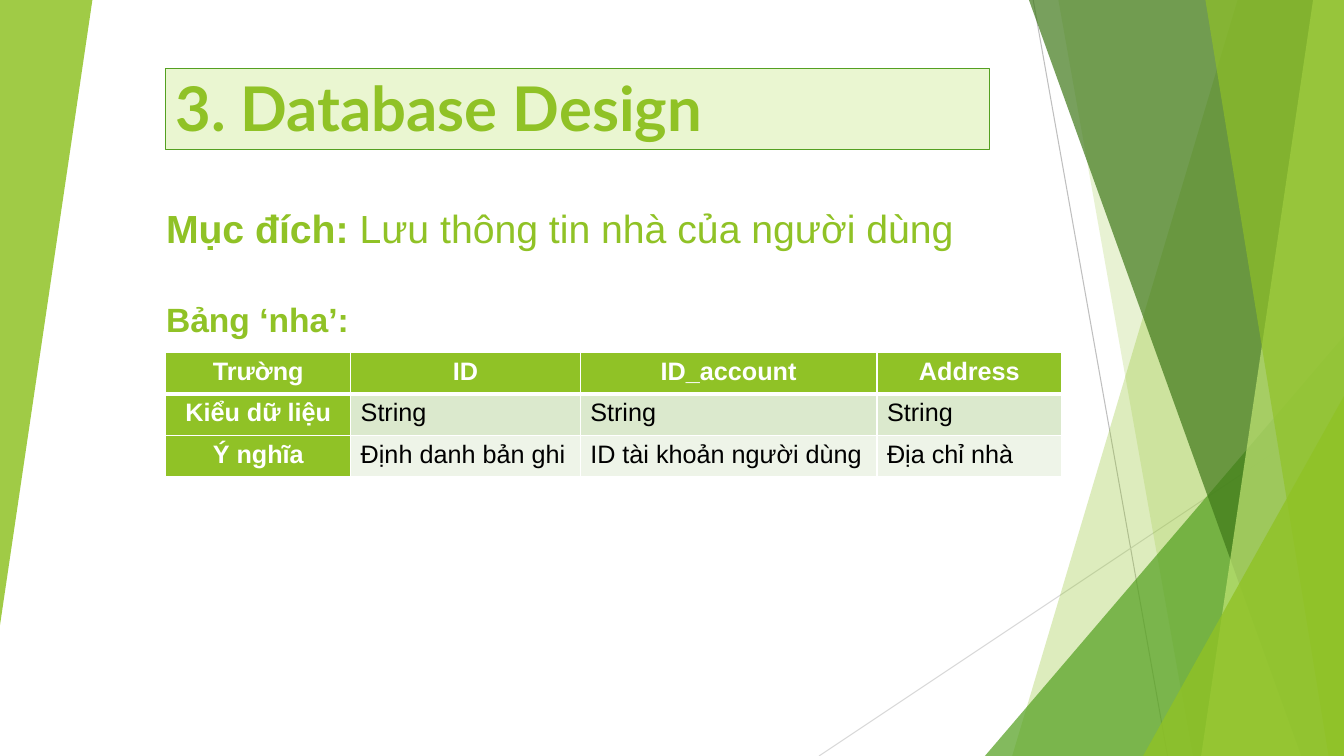
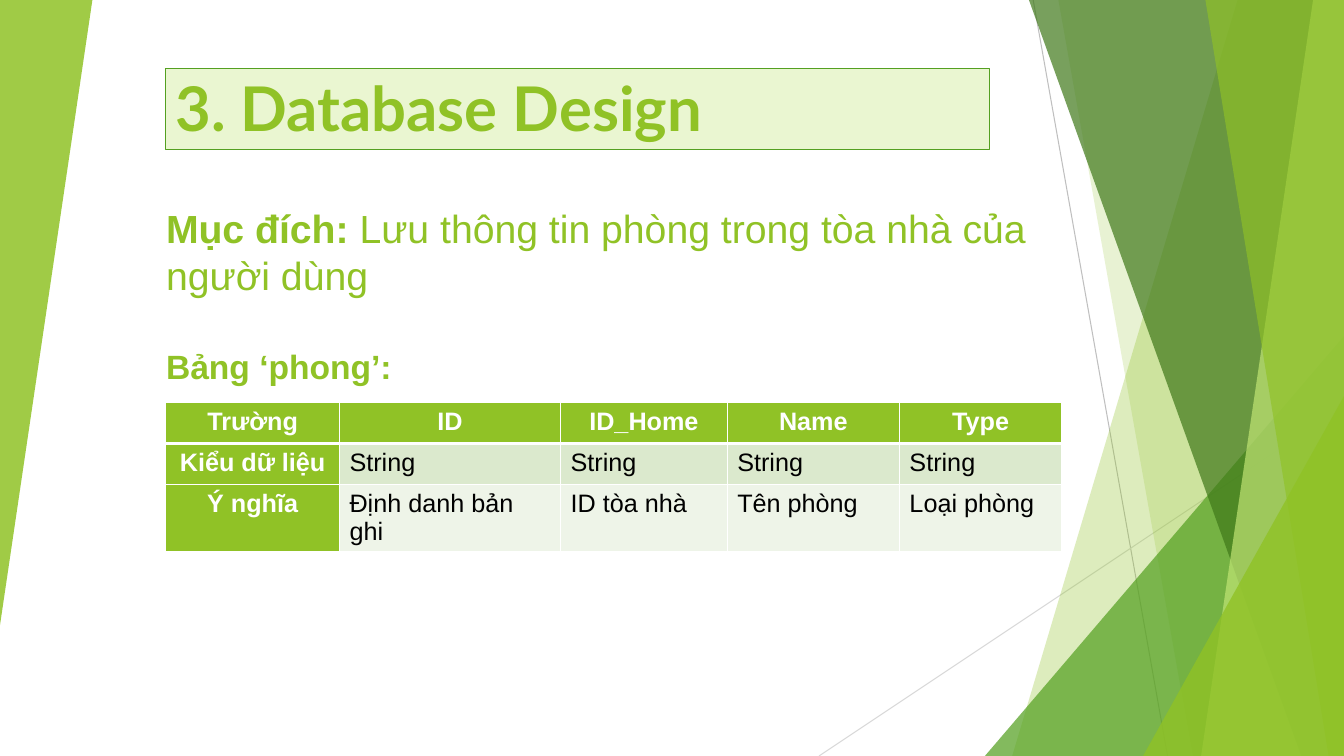
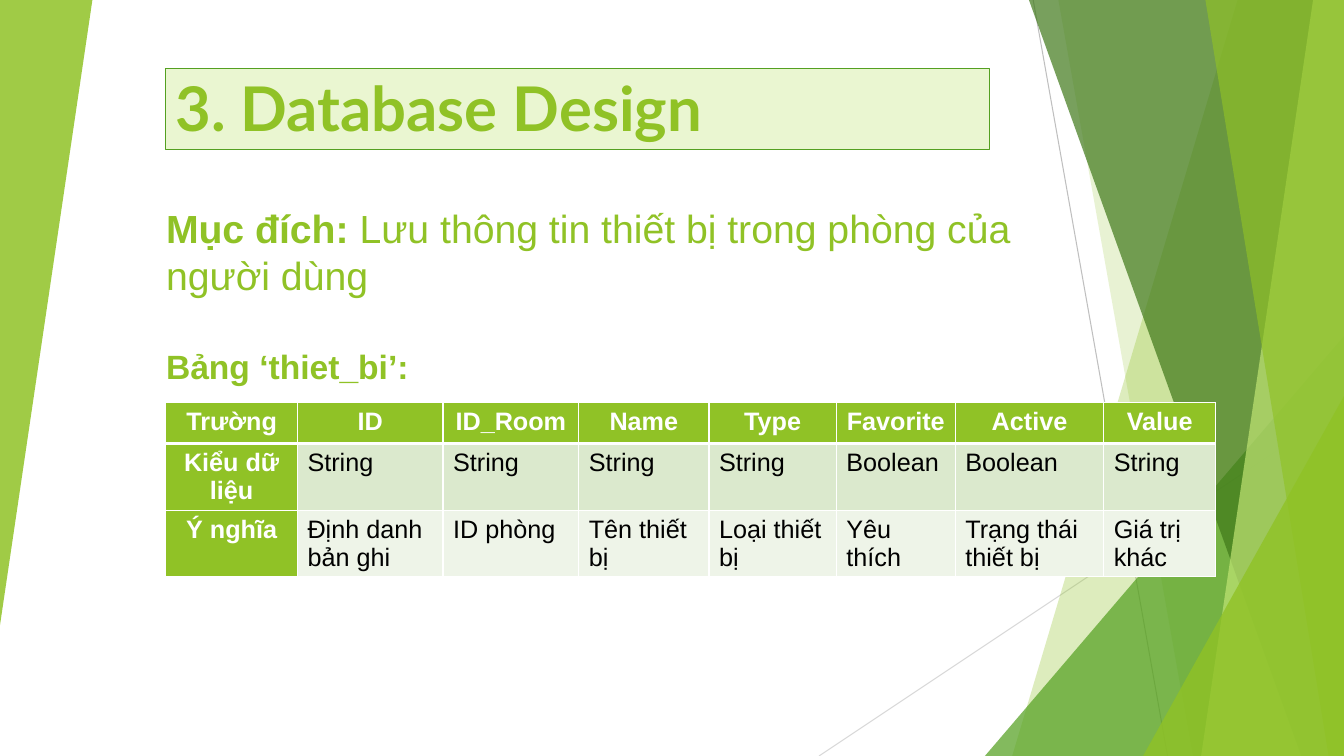
from lxml import etree
from pptx import Presentation
from pptx.dml.color import RGBColor
from pptx.enum.shapes import MSO_CONNECTOR, MSO_SHAPE
from pptx.enum.text import MSO_ANCHOR, MSO_AUTO_SIZE, PP_ALIGN
from pptx.oxml.ns import qn
from pptx.util import Pt

RECTANGLE, TRIANGLE = MSO_SHAPE.RECTANGLE, MSO_SHAPE.ISOSCELES_TRIANGLE
STRAIGHT = MSO_CONNECTOR.STRAIGHT
LEFT, CENTER = PP_ALIGN.LEFT, PP_ALIGN.CENTER
TOP, BOTTOM = MSO_ANCHOR.TOP, MSO_ANCHOR.BOTTOM
NO_AUTOFIT = MSO_AUTO_SIZE.NONE

WHITE = RGBColor(0xFF, 0xFF, 0xFF)
BLACK = RGBColor(0x00, 0x00, 0x00)
LIME = RGBColor(0x90, 0xC2, 0x26)
GREEN = RGBColor(0x54, 0xA0, 0x21)
FOREST = RGBColor(0x3F, 0x78, 0x19)
PALE_LIME = RGBColor(0xC0, 0xE4, 0x74)
TITLE_FILL = RGBColor(0xEA, 0xF6, 0xD1)
BANDS = (RGBColor(0xDB, 0xE9, 0xCD), RGBColor(0xEE, 0xF4, 0xE8))
GRAY = RGBColor(0xBF, 0xBF, 0xBF)
LIGHT_GRAY = RGBColor(0xD9, 0xD9, 0xD9)

TITLE_FONT, BODY_FONT = "Lato", "Arial"
WIDTH, HEIGHT = 960, 540
TITLE_ONLY = 5
ROW, TALL_ROW = 29.4, 47


def set_font(font, name, size, color, bold):
    font.name, font.size, font.bold = name, Pt(size), bold
    font.color.rgb = color


def set_border(cell, side, width):
    line = etree.SubElement(cell._tc.get_or_add_tcPr(), qn(f"a:ln{side}"), w=str(Pt(width)))
    fill = etree.SubElement(line, qn("a:solidFill"))
    etree.SubElement(fill, qn("a:srgbClr"), val=str(WHITE))


class Deck:
    def __init__(self):
        self.presentation = Presentation()
        self.presentation.slide_width = Pt(WIDTH)
        self.presentation.slide_height = Pt(HEIGHT)
        self.layout = self.presentation.slide_layouts[TITLE_ONLY]
        self.slide = None

    def add_slide(self, title):
        first = self.slide is None
        self.slide = self.presentation.slides.add_slide(self.layout)
        if first:
            self.decorate_layout()
        self.add_title(title)

    def decorate_layout(self):
        """Draw the facets on the current slide, then move them to the layout."""
        facets = self.slide.shapes.add_group_shape()
        self.add_line(facets, 738, 0, 834, HEIGHT, GRAY)
        self.add_line(facets, WIDTH, 290, 585, HEIGHT, LIGHT_GRAY)
        self.add_facet(facets, 884, 723, LIME, 30)
        self.add_facet(facets, 756, 852, LIME, 20)
        self.add_triangle(facets, 703.5, 240, 256.5, 300, GREEN, 72)
        self.add_facet(facets, 735, 929.5, FOREST, 70)
        self.add_facet(facets, 938, 858, PALE_LIME, 70)
        self.add_facet(facets, 861, 949, LIME, 65)
        self.add_triangle(facets, 816.5, 283, 143.5, 257, LIME, 80)
        self.add_triangle(facets, 0, 0, 66, 446.5, LIME, 85).rotation = 180
        self.layout.shapes.element.insert(2, facets.element)

    def add_line(self, group, x1, y1, x2, y2, color):
        line = group.shapes.add_connector(STRAIGHT, Pt(x1), Pt(y1), Pt(x2), Pt(y2))
        line.line.color.rgb = color
        line.line.width = Pt(0.75)
        etree.SubElement(line.element.spPr, qn("a:effectLst"))

    def add_facet(self, group, top_x, bottom_x, color, opacity):
        """Fill the area from a slanted edge to the right side of the slide."""
        builder = group.shapes.build_freeform(Pt(top_x), 0)
        corners = ((WIDTH, 0), (WIDTH, HEIGHT), (bottom_x, HEIGHT))
        builder.add_line_segments([(Pt(x), Pt(y)) for x, y in corners])
        self.paint(builder.convert_to_shape(), color, opacity)

    def add_triangle(self, group, left, top, width, height, color, opacity):
        triangle = group.shapes.add_shape(TRIANGLE, Pt(left), Pt(top), Pt(width), Pt(height))
        triangle.adjustments[0] = 1
        self.paint(triangle, color, opacity)
        return triangle

    def paint(self, shape, color, opacity):
        shape.shadow.inherit = False
        shape.line.fill.background()
        shape.fill.solid()
        shape.fill.fore_color.rgb = color
        color_element = shape.element.find(".//" + qn("a:srgbClr"))
        etree.SubElement(color_element, qn("a:alpha"), val=str(opacity * 1000))

    def add_title(self, text):
        title = self.slide.shapes.title
        title.left, title.top, title.width, title.height = Pt(118), Pt(49), Pt(589), Pt(57.6)
        title.fill.solid()
        title.fill.fore_color.rgb = TITLE_FILL
        title.line.color.rgb = GREEN
        title.line.width = Pt(0.75)
        frame = title.text_frame
        frame.text = text
        frame.auto_size = NO_AUTOFIT
        frame.vertical_anchor = BOTTOM
        paragraph = frame.paragraphs[0]
        paragraph.alignment = LEFT
        set_font(paragraph.font, TITLE_FONT, 44, LIME, True)

    def add_purpose(self, purpose, table_name, height):
        box = self.slide.shapes.add_shape(RECTANGLE, Pt(111.5), Pt(142.5), Pt(646.5), Pt(height))
        box.shadow.inherit = False
        box.fill.solid()
        box.fill.fore_color.rgb = WHITE
        box.line.color.rgb = WHITE
        box.line.width = Pt(1.5)
        frame = box.text_frame
        frame.word_wrap = True
        frame.vertical_anchor = TOP
        paragraph = frame.paragraphs[0]
        paragraph.alignment = LEFT
        for text, bold in (("Mục đích: ", True), (purpose, False)):
            run = paragraph.add_run()
            run.text = text
            set_font(run.font, BODY_FONT, 28, LIME, bold)
        paragraph = frame.add_paragraph()
        paragraph.text = f"Bảng ‘{table_name}’:"
        paragraph.alignment = LEFT
        paragraph.space_before = Pt(34)
        set_font(paragraph.font, BODY_FONT, 24, LIME, True)

    def add_field_table(self, top, widths, heights, rows):
        frame = self.slide.shapes.add_table(
            len(rows), len(widths), Pt(118.5), Pt(top), Pt(sum(widths)), Pt(sum(heights)))
        table = frame.table
        table.horz_banding = False
        for column, width in zip(table.columns, widths):
            column.width = Pt(width)
        for row, height in zip(table.rows, heights):
            row.height = Pt(height)
        for row_index, texts in enumerate(rows):
            for column_index, text in enumerate(texts):
                self.fill_cell(table.cell(row_index, column_index), text, row_index, column_index)

    def fill_cell(self, cell, text, row, column):
        is_header = row == 0 or column == 0
        set_border(cell, "L", 1)
        set_border(cell, "R", 1)
        set_border(cell, "T", 3 if row == 1 else 1)
        set_border(cell, "B", 3 if row == 0 else 1)
        cell.fill.solid()
        cell.fill.fore_color.rgb = LIME if is_header else BANDS[row - 1]
        cell.text = text
        paragraph = cell.text_frame.paragraphs[0]
        paragraph.alignment = CENTER if is_header else LEFT
        set_font(paragraph.font, BODY_FONT, 18, WHITE if is_header else BLACK, is_header)


TABLES = [
    dict(name="nha", purpose="Lưu thông tin nhà của người dùng",
         box_height=104.5, top=252,
         widths=(132, 164, 212, 132), heights=(ROW, ROW, ROW),
         fields=[("ID", "String", "Định danh bản ghi"),
                 ("ID_account", "String", "ID tài khoản người dùng"),
                 ("Address", "String", "Địa chỉ nhà")]),
    dict(name="phong", purpose="Lưu thông tin phòng trong tòa nhà của người dùng",
         box_height=138, top=287.5,
         widths=(124, 158, 119, 123, 116), heights=(ROW, ROW, TALL_ROW),
         fields=[("ID", "String", "Định danh bản ghi"),
                 ("ID_Home", "String", "ID tòa nhà"),
                 ("Name", "String", "Tên phòng"),
                 ("Type", "String", "Loại phòng")]),
    dict(name="thiet_bi", purpose="Lưu thông tin thiết bị trong phòng của người dùng",
         box_height=138, top=287.5,
         widths=(94, 104, 97, 93, 91, 85, 106, 80), heights=(ROW, TALL_ROW, TALL_ROW),
         fields=[("ID", "String", "Định danh bản ghi"),
                 ("ID_Room", "String", "ID phòng"),
                 ("Name", "String", "Tên thiết bị"),
                 ("Type", "String", "Loại thiết bị"),
                 ("Favorite", "Boolean", "Yêu thích"),
                 ("Active", "Boolean", "Trạng thái thiết bị"),
                 ("Value", "String", "Giá trị khác")]),
]
ROW_LABELS = ("Trường", "Kiểu dữ liệu", "Ý nghĩa")


def main():
    deck = Deck()
    for table in TABLES:
        deck.add_slide("3. Database Design")
        deck.add_purpose(table["purpose"], table["name"], table["box_height"])
        rows = list(zip(ROW_LABELS, *table["fields"]))
        deck.add_field_table(table["top"], table["widths"], table["heights"], rows)
    deck.presentation.save("out.pptx")


if __name__ == "__main__":
    main()
